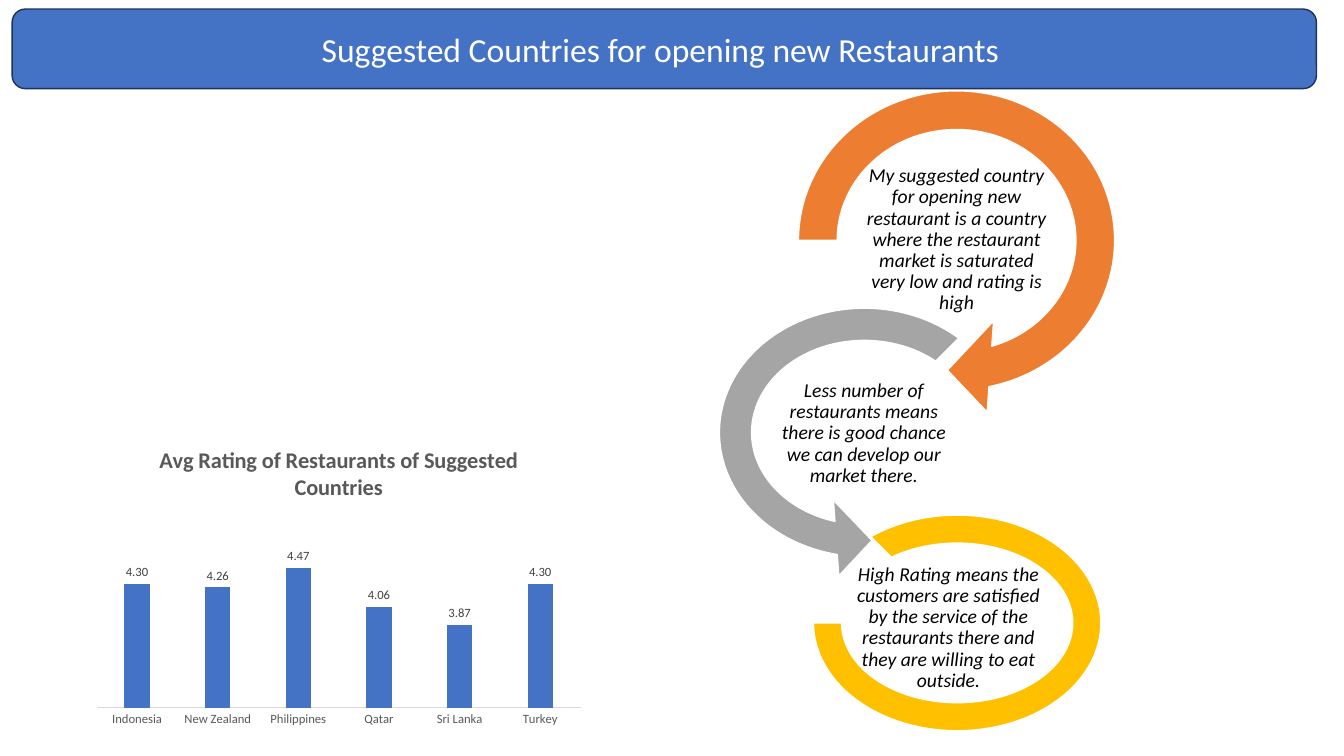
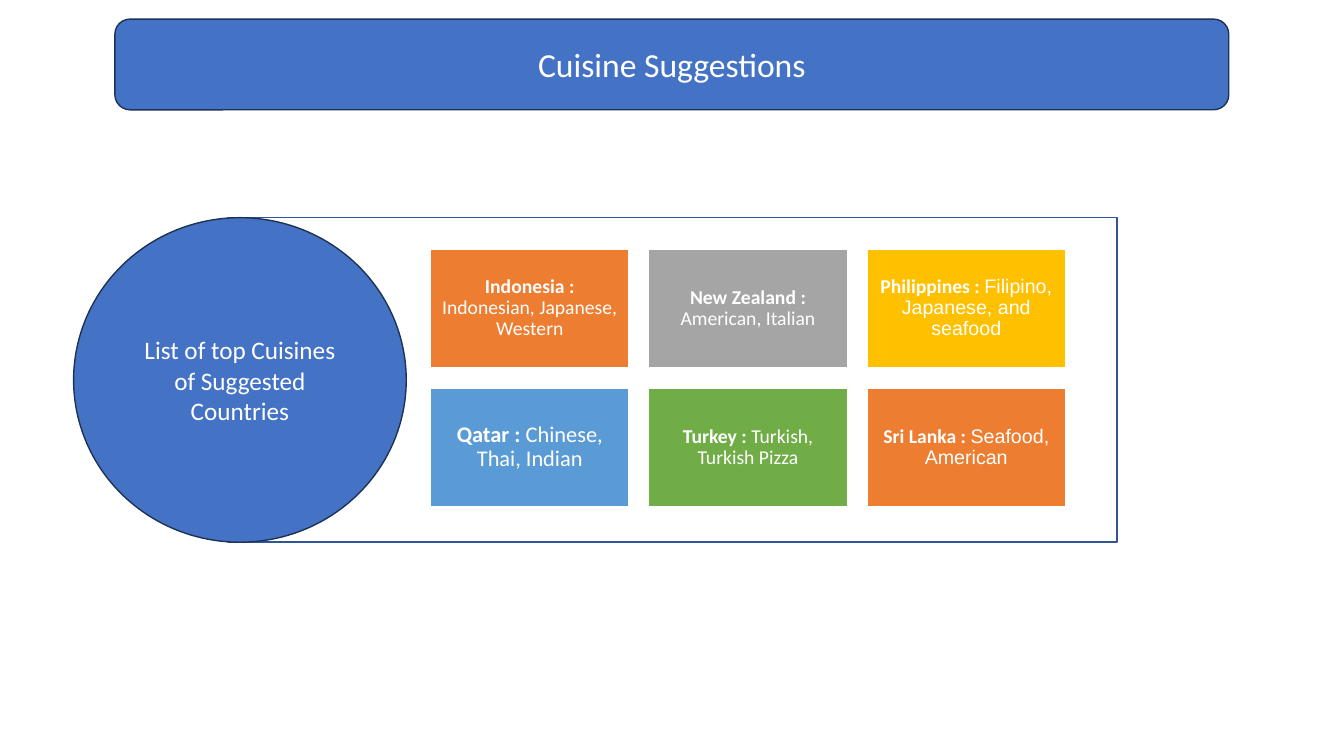
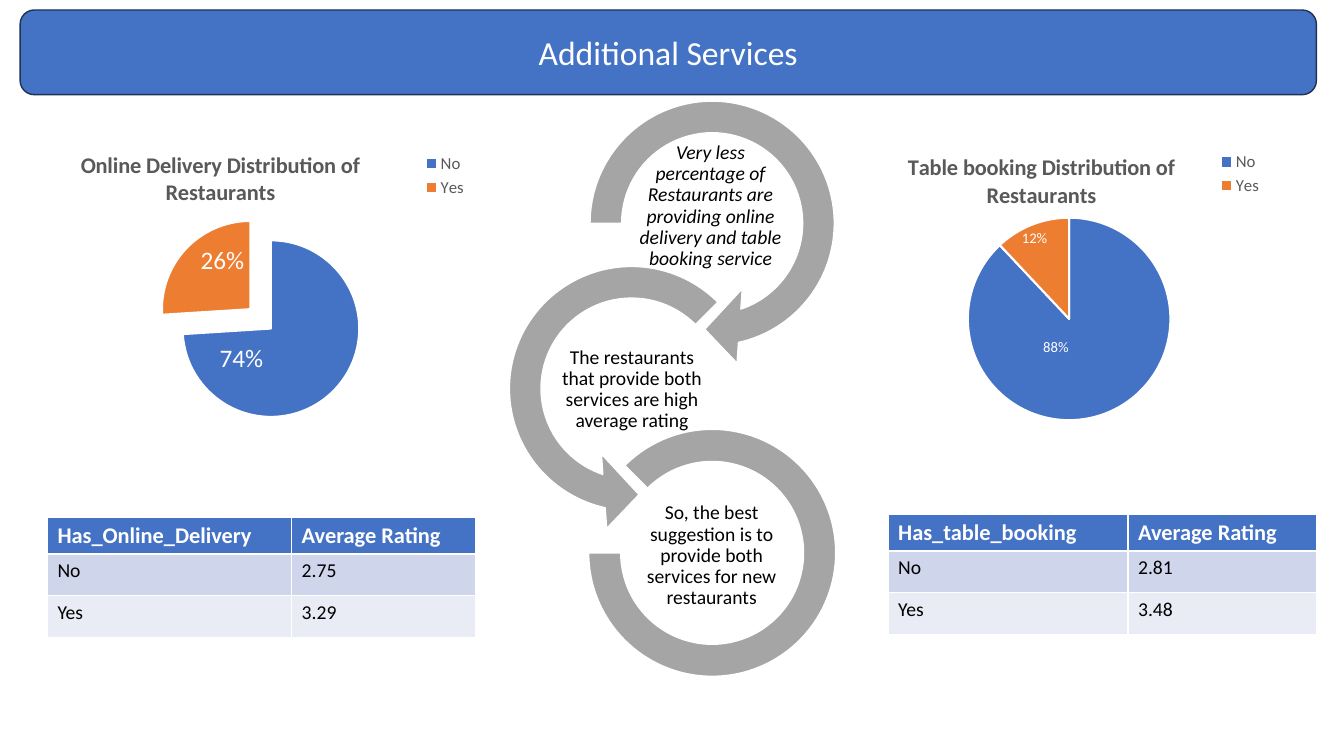
from lxml import etree
from pptx import Presentation
from pptx.chart.data import CategoryChartData
from pptx.dml.color import RGBColor
from pptx.enum.chart import XL_CHART_TYPE, XL_LABEL_POSITION, XL_LEGEND_POSITION, XL_TICK_MARK
from pptx.enum.shapes import MSO_SHAPE
from pptx.enum.text import MSO_ANCHOR, PP_ALIGN
from pptx.oxml.ns import qn
from pptx.util import Inches, Pt

WIDTH, HEIGHT = Inches(13.33), Inches(7.5)
FONT = "Calibri"

WHITE = RGBColor(0xFF, 0xFF, 0xFF)
BLACK = RGBColor(0x00, 0x00, 0x00)
BLUE = RGBColor(0x44, 0x72, 0xC4)
NAVY = RGBColor(0x1E, 0x32, 0x56)
FRAME_BLUE = RGBColor(0x2F, 0x55, 0x97)
SKY = RGBColor(0x5B, 0x9B, 0xD5)
ORANGE = RGBColor(0xED, 0x7D, 0x31)
GRAY = RGBColor(0xA5, 0xA5, 0xA5)
GOLD = RGBColor(0xFF, 0xC0, 0x00)
GREEN = RGBColor(0x70, 0xAD, 0x47)
CHART_TEXT = RGBColor(0x59, 0x59, 0x59)
LABEL_TEXT = RGBColor(0x40, 0x40, 0x40)
AXIS_LINE = RGBColor(0xD9, 0xD9, 0xD9)
ROW_DARK = RGBColor(0xCF, 0xD5, 0xEA)
ROW_LIGHT = RGBColor(0xE9, 0xEB, 0xF5)

RECTANGLE, ROUNDED, OVAL = MSO_SHAPE.RECTANGLE, MSO_SHAPE.ROUNDED_RECTANGLE, MSO_SHAPE.OVAL
CENTER, MIDDLE = PP_ALIGN.CENTER, MSO_ANCHOR.MIDDLE
COLUMNS, PIE = XL_CHART_TYPE.COLUMN_CLUSTERED, XL_CHART_TYPE.PIE
LABEL_CENTER, LABEL_ABOVE = XL_LABEL_POSITION.CENTER, XL_LABEL_POSITION.OUTSIDE_END
LEGEND_RIGHT, NO_TICK = XL_LEGEND_POSITION.RIGHT, XL_TICK_MARK.NONE

# The three links of a chain, top to bottom: preset shape and its adjustments
CHAIN_LINKS = (
    (MSO_SHAPE.CIRCULAR_ARROW, (0.11, 11.42, 45, 108, 0.13)),
    (MSO_SHAPE.LEFT_CIRCULAR_ARROW, (0.11, 11.42, 63, 189, 0.13)),
    (MSO_SHAPE.BLOCK_ARC, (135, 108, 0.13)),
)


def place(left, top, width, height):
    """Turn percentages of the slide's size into lengths."""
    return (round(WIDTH * left / 100), round(HEIGHT * top / 100),
            round(WIDTH * width / 100), round(HEIGHT * height / 100))


def style(font, size, color, bold=False, italic=False, name=FONT):
    font.name, font.size = name, Pt(size)
    font.bold, font.italic = bold, italic
    font.color.rgb = color


def add_box(slide, kind, area, fill, line):
    box = slide.shapes.add_shape(kind, *place(*area))
    box.shadow.inherit = False
    box.fill.solid()
    box.fill.fore_color.rgb = fill
    box.line.color.rgb = line
    box.line.width = Pt(1)
    return box


def center_text(box, text, margin=None, spacing=None):
    frame = box.text_frame
    frame.word_wrap = True
    frame.vertical_anchor = MIDDLE
    if margin is not None:
        frame.margin_left = frame.margin_right = Inches(margin)
        frame.margin_top = frame.margin_bottom = Inches(margin)
    para = frame.paragraphs[0]
    para.text = text
    para.alignment = CENTER
    para.line_spacing = spacing
    return para


def add_label_box(slide, kind, area, text, size):
    para = center_text(add_box(slide, kind, area, BLUE, NAVY), text)
    style(para.runs[0].font, size, WHITE)


def add_title(slide, area, text):
    add_label_box(slide, ROUNDED, area, text, 24)


def add_chain(slide, links):
    """Draw linked rings; each link is (ring area, colour, text area, text, italic)."""
    for (kind, adjustments), link in zip(CHAIN_LINKS, links):
        area, color, text_area, text, italic = link
        ring = add_box(slide, kind, area, color, WHITE)
        for index, value in enumerate(adjustments):
            ring.adjustments[index] = value
        box = slide.shapes.add_textbox(*place(*text_area))
        para = center_text(box, text, 0.01, 0.9)
        style(para.runs[0].font, 14, BLACK, italic=italic)


def add_tile(slide, area, color, country, cuisines, size, name):
    tile = add_box(slide, RECTANGLE, area, color, WHITE)
    para = center_text(tile, country, 0.06, 0.9)
    style(para.runs[0].font, size, WHITE, bold=True)
    span = para.add_run()
    span.text = cuisines
    style(span.font, size, WHITE, name=name)


def set_layout(parent, index, x, y, size=None, inner=False, edge=True):
    """Place a chart part by shares of the chart; without edge, shift it from its usual place."""
    for old in parent.findall(qn("c:layout")):
        parent.remove(old)
    layout = etree.Element(qn("c:layout"))
    manual = etree.SubElement(layout, qn("c:manualLayout"))
    settings = [("layoutTarget", "inner")] if inner else []
    if edge:
        settings += [("xMode", "edge"), ("yMode", "edge")]
    settings += [("x", x), ("y", y)]
    if size:
        settings += zip("wh", size)
    for tag, value in settings:
        etree.SubElement(manual, qn("c:" + tag)).set("val", str(value))
    parent.insert(index, layout)


def add_chart(slide, kind, area, title, categories, values, number_format, plot_area):
    data = CategoryChartData(number_format=number_format)
    data.categories = categories
    data.add_series("Series 1", values)
    chart = slide.shapes.add_chart(kind, *place(*area), data).chart
    style(chart.font, 10, BLACK)
    chart.has_title = True
    para = chart.chart_title.text_frame.paragraphs[0]
    para.text = title
    style(para.runs[0].font, 16, CHART_TEXT, bold=True)
    x, y, *size = plot_area
    set_layout(chart.plots[0]._element.getparent(), 0, x, y, size, inner=True)
    plot = chart.plots[0]
    plot.has_data_labels = True
    labels = plot.data_labels
    labels.show_value = True
    labels.number_format = number_format
    labels.number_format_is_linked = False
    style(labels.font, 9, LABEL_TEXT)
    return chart


def add_rating_chart(slide):
    chart = add_chart(
        slide, COLUMNS, (6.45, 56.8, 37.5, 40),
        "Avg Rating of Restaurants of Suggested Countries",
        ("Indonesia", "New Zealand", "Philippines", "Qatar", "Sri Lanka", "Turkey"),
        (4.3, 4.26, 4.47, 4.06, 3.87, 4.3), "0.00", (0.02, 0.29, 0.96, 0.63))
    chart.has_legend = False
    plot = chart.plots[0]
    plot.vary_by_categories = False
    plot.gap_width, plot.overlap = 219, -27
    plot.data_labels.position = LABEL_ABOVE
    fill = plot.series[0].format.fill
    fill.solid()
    fill.fore_color.rgb = BLUE
    ratings = chart.value_axis
    ratings.minimum_scale, ratings.maximum_scale = 3, 5
    ratings.has_major_gridlines = False
    ratings.visible = False
    countries = chart.category_axis
    countries.major_tick_mark = NO_TICK
    countries.format.line.color.rgb = AXIS_LINE
    countries.format.line.width = Pt(0.75)
    style(countries.tick_labels.font, 9, CHART_TEXT)


def add_share_pie(slide, area, title, values, plot_area, title_at, label_size, label_shifts,
                  explosion=0):
    chart = add_chart(slide, PIE, area, title, ("No", "Yes"), values, "0%", plot_area)
    set_layout(chart.chart_title._element, 1, *title_at)
    chart.has_legend = True
    legend = chart.legend
    legend.position = LEGEND_RIGHT
    legend.include_in_layout = False
    style(legend.font, 12, CHART_TEXT)
    set_layout(legend._element, 1, 0.85, 0.05, (0.13, 0.17))
    series = chart.plots[0].series[0]
    for index, color in enumerate((BLUE, ORANGE)):
        point = series.points[index]
        point.format.fill.solid()
        point.format.fill.fore_color.rgb = color
        point.format.line.color.rgb = WHITE
        point.format.line.width = Pt(1.5)
        style(point.data_label.font, label_size, WHITE)
        point.data_label.position = LABEL_CENTER
    for label, shift in zip(series._element.iter(qn("c:dLbl")), label_shifts):
        set_layout(label, 1, *shift, edge=False)
    if explosion:
        yes_slice = series._element.findall(qn("c:dPt"))[1]
        mark = etree.Element(qn("c:explosion"))
        mark.set("val", str(explosion))
        yes_slice.find(qn("c:spPr")).addprevious(mark)


def add_rating_table(slide, left, top, first_share, rows):
    area = place(left, top, 31.88, 15.73)
    table = slide.shapes.add_table(len(rows), 2, *area).table
    for column, share in zip(table.columns, (first_share, 1 - first_share)):
        column.width = round(area[2] * share)
    for row, share in zip(table.rows, (0.3, 0.35, 0.35)):
        row.height = round(area[3] * share)
    looks = ((BLUE, 16, WHITE, True), (ROW_DARK, 14, BLACK, False), (ROW_LIGHT, 14, BLACK, False))
    for row, texts, (fill, size, color, bold) in zip(table.rows, rows, looks):
        for cell, text in zip(row.cells, texts):
            cell.fill.solid()
            cell.fill.fore_color.rgb = fill
            cell.text_frame.text = text
            style(cell.text_frame.paragraphs[0].runs[0].font, size, color, bold)


def build_countries(slide):
    add_rating_chart(slide)
    add_chain(slide, (
        ((57.45, 8.53, 27.45, 46.53), ORANGE, (64.28, 25.6, 13.8, 12.27),
         "My suggested country for opening new restaurant is a country where the restaurant "
         "market is saturated very low and rating is high", True),
        ((51.9, 37.87, 24.83, 38.67), GRAY, (57.38, 51.2, 13.8, 12.27),
         "Less number of restaurants means there is good chance we can develop our market there.",
         True),
        ((60.53, 68.13, 21.38, 28.53), GOLD, (63.3, 76.8, 14.55, 12.53),
         "High Rating means the customers are satisfied by the service of the restaurants there "
         "and they are willing to eat outside.", True),
    ))
    add_title(slide, (0.9, 1.2, 97.05, 10.53), "Suggested Countries for opening new Restaurants ")


def build_cuisines(slide):
    add_box(slide, RECTANGLE, (16.95, 28.8, 66.15, 42.93), WHITE, FRAME_BLUE)
    add_label_box(slide, OVAL, (5.48, 28.8, 24.75, 42.93),
                  "List of top Cuisines of Suggested Countries", 18)
    tiles = (
        (ORANGE, "Indonesia :\v", "Indonesian, Japanese, Western", 14, FONT),
        (GRAY, "New Zealand : ", "American, Italian", 14, FONT),
        (GOLD, "Philippines : ", "Filipino, Japanese, and seafood", 14, "Arial"),
        (SKY, "Qatar : ", "Chinese, Thai, Indian", 16, FONT),
        (GREEN, "Turkey : ", "Turkish, Turkish Pizza", 14, FONT),
        (ORANGE, "Sri Lanka : ", "Seafood, American", 14, "Arial"),
    )
    for index, tile in enumerate(tiles):
        row, column = divmod(index, 3)
        add_tile(slide, (32.03 + 16.24 * column, 32.93 + 18.4 * row, 14.78, 15.73), *tile)
    add_title(slide, (8.55, 2.53, 82.88, 12), "Cuisine Suggestions")


def build_services(slide):
    add_title(slide, (1.5, 1.33, 96.45, 11.2), "Additional Services")
    add_share_pie(slide, (3.08, 17.6, 32.85, 41.73), "Online Delivery Distribution of Restaurants",
                  (0.74, 0.26), (0.07, 0.34, 0.9, 0.56), (0.08, 0.04), 18,
                  ((-0.14, 0), (0.01, -0.06)), explosion=32)
    add_share_pie(slide, (65.18, 17.6, 29.63, 40), "Table booking Distribution of Restaurants",
                  (0.88, 0.12), (0.1, 0.28, 0.77, 0.67), (0.07, 0.05), 10.5,
                  ((-0.08, -0.06), (-0.04, -0.11)))
    add_rating_table(slide, 3.53, 68.4, 0.57, (
        ("Has_Online_Delivery", "Average Rating"), ("No", "2.75"), ("Yes", "3.29")))
    add_rating_table(slide, 66.08, 68, 0.56, (
        ("Has_table_booking", "Average Rating"), ("No", "2.81"), ("Yes", "3.48")))
    add_chain(slide, (
        ((42.3, 10.53, 21.38, 38), GRAY, (46.95, 22, 11.85, 10.53),
         "Very less percentage of Restaurants are providing online delivery and table booking "
         "service", True),
        ((36.3, 32.4, 21.38, 38), GRAY, (41.1, 46.27, 11.85, 10.53),
         "The restaurants that provide both services are high average rating", False),
        ((43.8, 56.8, 18.38, 32.67), GRAY, (47.03, 68.27, 11.85, 10.53),
         "So, the best suggestion is to provide both services for new restaurants", False),
    ))


def main():
    deck = Presentation()
    deck.slide_width, deck.slide_height = WIDTH, HEIGHT
    blank = deck.slide_layouts[6]
    for build in (build_countries, build_cuisines, build_services):
        build(deck.slides.add_slide(blank))
    deck.save("out.pptx")


if __name__ == "__main__":
    main()
